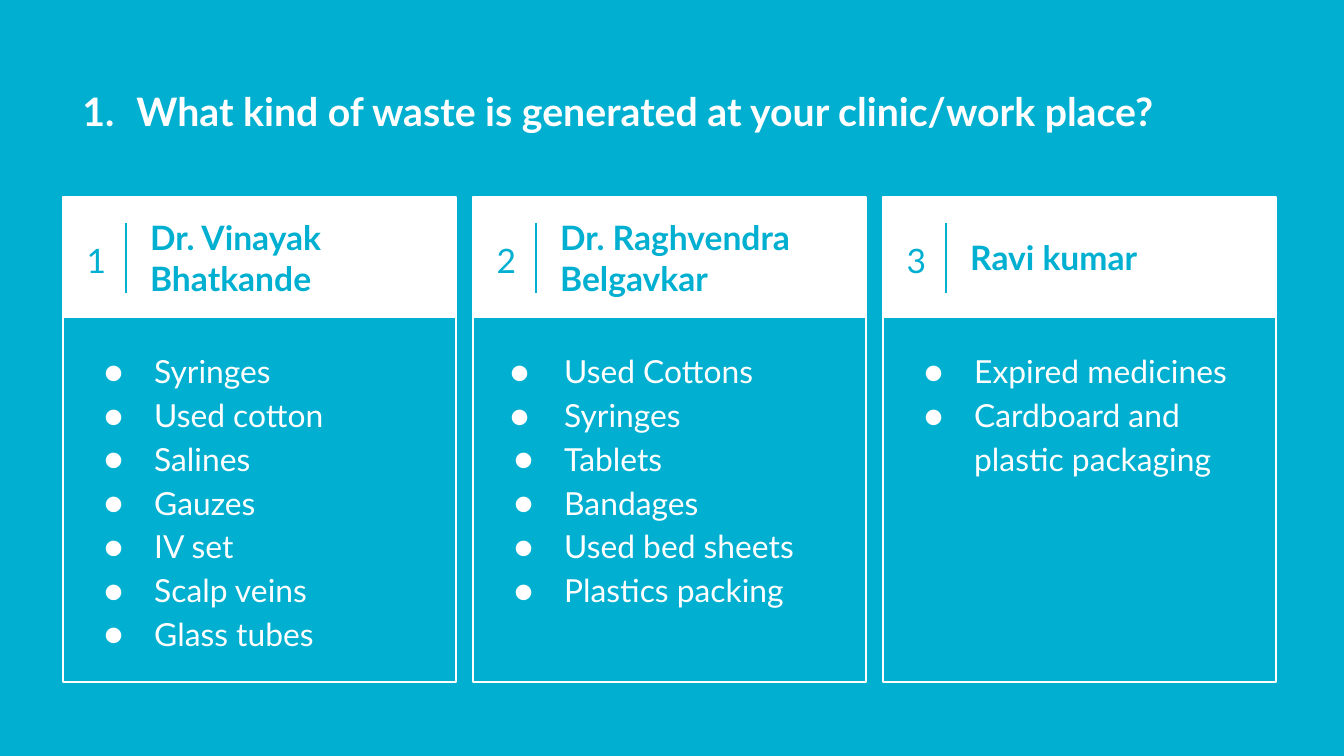
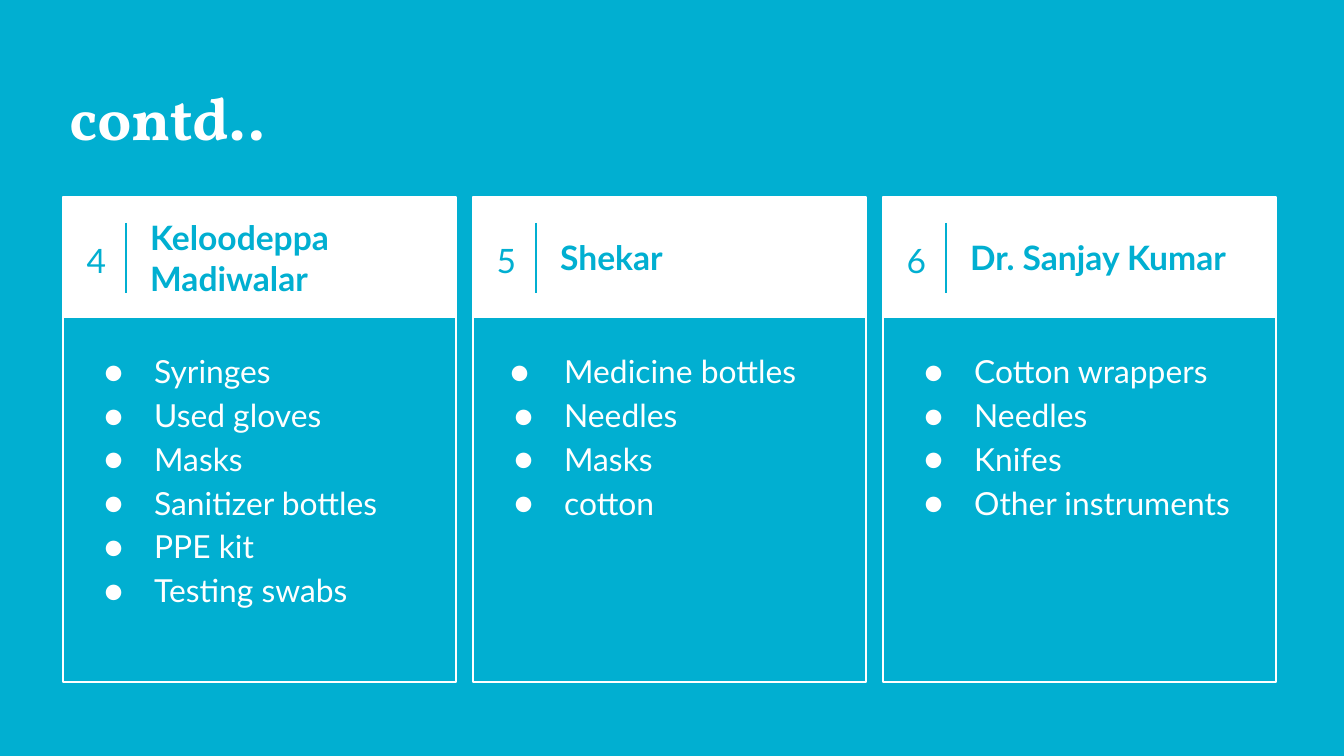
from lxml import etree
from pptx import Presentation
from pptx.dml.color import RGBColor
from pptx.enum.shapes import MSO_CONNECTOR, MSO_SHAPE
from pptx.enum.text import MSO_ANCHOR, MSO_AUTO_SIZE, PP_ALIGN
from pptx.oxml.ns import qn
from pptx.util import Emu, Pt

COLORS = {"bg": "01AFD1", "fg": "FFFFFF"}
RGB = {name: RGBColor.from_string(value) for name, value in COLORS.items()}
PX = 914400 / 134.4
BODY_FONT = "Lato"
TITLE_FONT = "Vollkorn"

CARD_LEFT, CARD_STEP, CARD_TOP = 63, 410, 197
CARD_W, CARD_H, HEADER_H = 393, 485, 121
TEXT_INDENT, BULLET_HANG, WIDE_HANG = 67, 50, 54

# Each card: name, waste items, number of leading items with the wide hang
SLIDES = [
    {
        "title": "What kind of waste is generated at your clinic/work place?",
        "numbered": True, "font": BODY_FONT, "size": 21,
        "cards": [
            ("Dr. Vinayak Bhatkande",
             ["Syringes", "Used cotton", "Salines", "Gauzes", "IV set",
              "Scalp veins", "Glass tubes"], 0),
            ("Dr. Raghvendra Belgavkar",
             ["Used Cottons", "Syringes", "Tablets", "Bandages",
              "Used bed sheets", "Plastics packing"], 2),
            ("Ravi kumar",
             ["Expired medicines", "Cardboard and plastic packaging"], 0),
        ],
    },
    {
        "title": "contd..",
        "numbered": False, "font": TITLE_FONT, "size": 32,
        "cards": [
            ("Keloodeppa Madiwalar",
             ["Syringes", "Used gloves", "Masks", "Sanitizer bottles",
              "PPE kit", "Testing swabs"], 0),
            ("Shekar", ["Medicine bottles", "Needles", "Masks", "cotton"], 1),
            ("Dr. Sanjay Kumar",
             ["Cotton wrappers", "Needles", "Knifes", "Other instruments"], 0),
        ],
    },
]


def px(*values):
    return [Emu(round(v * PX)) for v in values]


def style_text(sp, size, color, bold=False, font=BODY_FONT,
               anchor=MSO_ANCHOR.TOP, align=PP_ALIGN.LEFT, spacing=1.0,
               bullet=None, hangs=()):
    """Format all text of sp; bullet is a (tag, attribute, value) triple."""
    tf = sp.text_frame
    tf.word_wrap = True
    tf.auto_size = MSO_AUTO_SIZE.NONE
    tf.vertical_anchor = anchor
    tf.margin_left = tf.margin_right = tf.margin_top = tf.margin_bottom = Pt(7.2)
    for i, p in enumerate(tf.paragraphs):
        p.alignment = align
        p.line_spacing = spacing
        p.space_before = Pt(0)
        for r in p.runs:
            r.font.name = font
            r.font.size = Pt(size)
            r.font.bold = bold
            r.font.color.rgb = RGB[color]
        if bullet:
            tag, attribute, value = bullet
            pPr = p._p.get_or_add_pPr()
            indent, hang = px(TEXT_INDENT, hangs[i])
            pPr.set("marL", str(indent))
            pPr.set("indent", str(-hang))
            clr = etree.SubElement(pPr, qn("a:buClr"))
            etree.SubElement(clr, qn("a:srgbClr"), val=COLORS[color])
            etree.SubElement(pPr, qn("a:buFont"), typeface=font)
            etree.SubElement(pPr, qn(tag)).set(attribute, value)


prs = Presentation()
prs.slide_width, prs.slide_height = px(1344, 756)
background = prs.slide_master.background.fill
background.solid()
background.fore_color.rgb = RGB["bg"]

number = 0
for content in SLIDES:
    s = prs.slides.add_slide(prs.slide_layouts[5])
    title = s.shapes.title
    title.left, title.top, title.width, title.height = px(56, 67, 1230, 101)
    title.text_frame.text = content["title"]
    if content["numbered"]:
        style_text(title, content["size"], "fg", bold=True,
                   font=content["font"], spacing=1.15,
                   bullet=("a:buAutoNum", "type", "arabicPeriod"),
                   hangs=[WIDE_HANG])
    else:
        style_text(title, content["size"], "fg", bold=True,
                   font=content["font"])

    for col, (name, items, wide) in enumerate(content["cards"]):
        number += 1
        x = CARD_LEFT + col * CARD_STEP

        card = s.shapes.add_group_shape()
        frame, header = [
            card.shapes.add_shape(MSO_SHAPE.RECTANGLE,
                                  *px(x, CARD_TOP, CARD_W, height))
            for height in (CARD_H, HEADER_H)]
        frame.shadow.inherit = header.shadow.inherit = False
        frame.fill.background()
        frame.line.color.rgb = RGB["fg"]
        frame.line.width = Pt(0.75)
        header.fill.solid()
        header.fill.fore_color.rgb = RGB["fg"]
        header.line.fill.background()

        sp = s.shapes.add_textbox(*px(x + 8, CARD_TOP, 51, HEADER_H))
        sp.text_frame.text = str(number)
        style_text(sp, 18, "bg", anchor=MSO_ANCHOR.MIDDLE,
                   align=PP_ALIGN.CENTER, spacing=1.15)

        divider = s.shapes.add_connector(MSO_CONNECTOR.STRAIGHT,
                                         *px(x + 63, 223, x + 63, 293))
        divider.line.color.rgb = RGB["bg"]
        divider.line.width = Pt(0.75)
        etree.SubElement(divider._element.spPr, qn("a:effectLst"))

        sp = s.shapes.add_textbox(*px(x + 74, CARD_TOP, 309, HEADER_H))
        sp.text_frame.text = name
        style_text(sp, 18, "bg", bold=True, anchor=MSO_ANCHOR.MIDDLE)

        sp = s.shapes.add_textbox(*px(x + 11, 333, 372, 349))
        sp.text_frame.text = "\n".join(items)
        hangs = [WIDE_HANG if i < wide else BULLET_HANG
                 for i in range(len(items))]
        style_text(sp, 17, "fg", spacing=1.15,
                   bullet=("a:buChar", "char", "●"), hangs=hangs)

prs.save("out.pptx")
